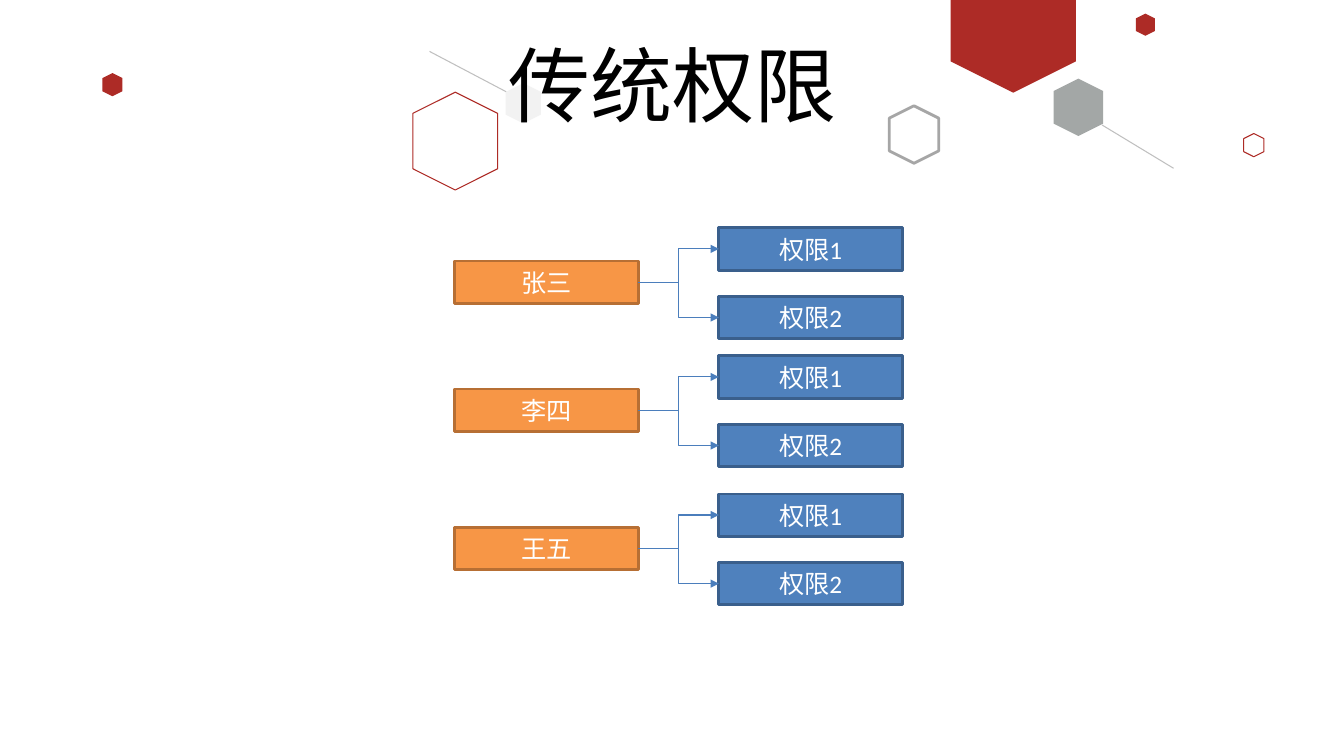
"""Build the slide that maps each user straight to permissions."""
from dataclasses import dataclass
from typing import Optional

from lxml import etree
from pptx import Presentation
from pptx import util as u
from pptx.dml.color import RGBColor
from pptx.enum import shapes, text
from pptx.oxml import ns

PX = 9144
FONT = "Calibri"
COLOURS = {
    "red": "AD2B26", "slate": "49504F", "grey": "A6A6A6", "pale": "F2F2F2",
    "rule": "BFBFBF", "black": "000000", "white": "FFFFFF",
    "orange": "F79646", "orange_edge": "B76F34",
    "blue": "4F81BD", "blue_edge": "3A5F8C", "arrow": "4B7EBC",
}


@dataclass(frozen=True)
class Hexagon:
    left: int
    top: int
    width: int
    height: int
    fill: Optional[str] = None
    line: Optional[str] = None
    weight: float = 0.75
    opacity: int = 100


@dataclass(frozen=True)
class Rule:
    start: tuple[int, int]
    end: tuple[int, int]


@dataclass(frozen=True)
class User:
    name: str
    top: int


@dataclass(frozen=True)
class Permission:
    label: str
    offset: int


HEXAGONS = [
    Hexagon(1041, 82, 57, 49, fill="slate", opacity=50),
    Hexagon(878, 109, 57, 49, line="grey", weight=2),
    Hexagon(1125, 15, 22, 19, fill="red"),
    Hexagon(403, 98, 97, 84, line="red"),
    Hexagon(1232, 134, 23, 20, line="red"),
    Hexagon(100, 74, 23, 20, fill="red"),
    Hexagon(499, 85, 40, 35, fill="pale"),
]
RULES = [Rule((1093, 124), (1164, 167)), Rule((426, 51), (502, 91))]
BANNER = [(943, -21), (1067, -21), (1067, 61), (1005, 92), (943, 61)]
USERS = [User("张三", 259), User("李四", 386), User("王五", 523)]
PERMISSIONS = [Permission("权限1", -33), Permission("权限2", 35)]
USER_LEFT, PERMISSION_LEFT = 451, 713
BOX_WIDTH, BOX_HEIGHT = 182, 42
RIGHT_SITE, LEFT_SITE = 3, 1


def px(*values: int) -> list[u.Emu]:
    return [u.Emu(value * PX) for value in values]


def colour(name: str) -> RGBColor:
    return RGBColor.from_string(COLOURS[name])


def paint(shape, fill: Optional[str], line: Optional[str], weight: float = 0.75) -> None:
    shape.shadow.inherit = False
    if fill:
        shape.fill.solid()
        shape.fill.fore_color.rgb = colour(fill)
    else:
        shape.fill.background()
    if line:
        shape.line.color.rgb = colour(line)
        shape.line.width = u.Pt(weight)
    else:
        shape.line.fill.background()


def write(shape, words: str, size: float, ink: str, anchor: text.MSO_ANCHOR) -> None:
    frame = shape.text_frame
    frame.word_wrap = True
    frame.vertical_anchor = anchor
    paragraph = frame.paragraphs[0]
    paragraph.alignment = text.PP_ALIGN.CENTER
    run = paragraph.add_run()
    run.text = words
    run.font.name = FONT
    run.font.size = u.Pt(size)
    run.font.color.rgb = colour(ink)


def draw_banner(slide) -> None:
    builder = slide.shapes.build_freeform(*BANNER[0], scale=PX)
    builder.add_line_segments(BANNER[1:], close=True)
    paint(builder.convert_to_shape(), "red", None)


def draw_hexagon(slide, hexagon: Hexagon) -> None:
    shape = slide.shapes.add_shape(
        shapes.MSO_SHAPE.HEXAGON,
        *px(hexagon.left, hexagon.top, hexagon.width, hexagon.height))
    shape.rotation = 90
    paint(shape, hexagon.fill, hexagon.line, hexagon.weight)
    if hexagon.opacity < 100:
        fill_colour = shape.fill._xPr.find(".//" + ns.qn("a:srgbClr"))
        alpha = etree.SubElement(fill_colour, ns.qn("a:alpha"))
        alpha.set("val", str(hexagon.opacity * 1000))


def draw_connector(slide, kind: shapes.MSO_CONNECTOR, start: tuple[int, int],
                   end: tuple[int, int], line: str):
    connector = slide.shapes.add_connector(kind, *px(*start, *end))
    connector.line.color.rgb = colour(line)
    connector.line.width = u.Pt(0.75)
    etree.SubElement(connector._element.spPr, ns.qn("a:effectLst"))
    return connector


def draw_box(slide, left: int, top: int, label: str, fill: str):
    box = slide.shapes.add_shape(
        shapes.MSO_SHAPE.RECTANGLE, *px(left, top, BOX_WIDTH, BOX_HEIGHT))
    paint(box, fill, fill + "_edge", 2)
    write(box, label, 18, "white", text.MSO_ANCHOR.MIDDLE)
    return box


def draw_arrow(slide, source, target) -> None:
    arrow = draw_connector(slide, shapes.MSO_CONNECTOR.ELBOW, (0, 0), (0, 0), "arrow")
    arrow.begin_connect(source, RIGHT_SITE)
    arrow.end_connect(target, LEFT_SITE)
    tail = etree.SubElement(arrow.line._get_or_add_ln(), ns.qn("a:tailEnd"))
    tail.set("type", "triangle")


def draw_user(slide, user: User) -> None:
    source = draw_box(slide, USER_LEFT, user.top, user.name, "orange")
    for permission in PERMISSIONS:
        target = draw_box(slide, PERMISSION_LEFT, user.top + permission.offset,
                          permission.label, "blue")
        draw_arrow(slide, source, target)


def main() -> None:
    presentation = Presentation()
    presentation.slide_width, presentation.slide_height = px(1333, 750)
    slide = presentation.slides.add_slide(presentation.slide_layouts[6])
    draw_banner(slide)
    for hexagon in HEXAGONS:
        draw_hexagon(slide, hexagon)
    for rule in RULES:
        draw_connector(slide, shapes.MSO_CONNECTOR.STRAIGHT, rule.start, rule.end, "rule")
    title = slide.shapes.add_textbox(*px(92, 40, 1150, 145))
    write(title, "传统权限", 58.6, "black", text.MSO_ANCHOR.TOP)
    title.text_frame.paragraphs[0].line_spacing = 0.9
    for user in USERS:
        draw_user(slide, user)
    presentation.save("out.pptx")


if __name__ == "__main__":
    main()
